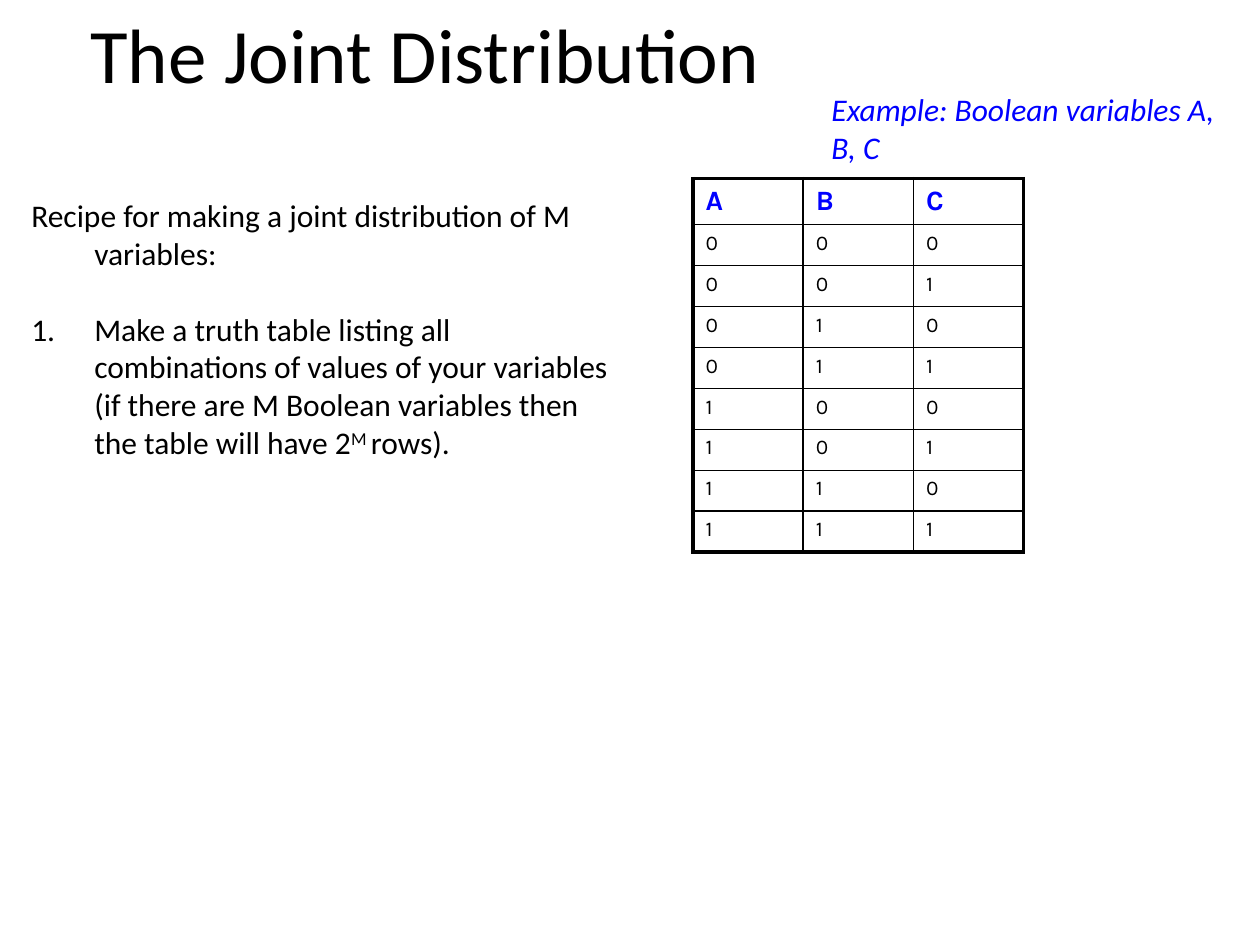
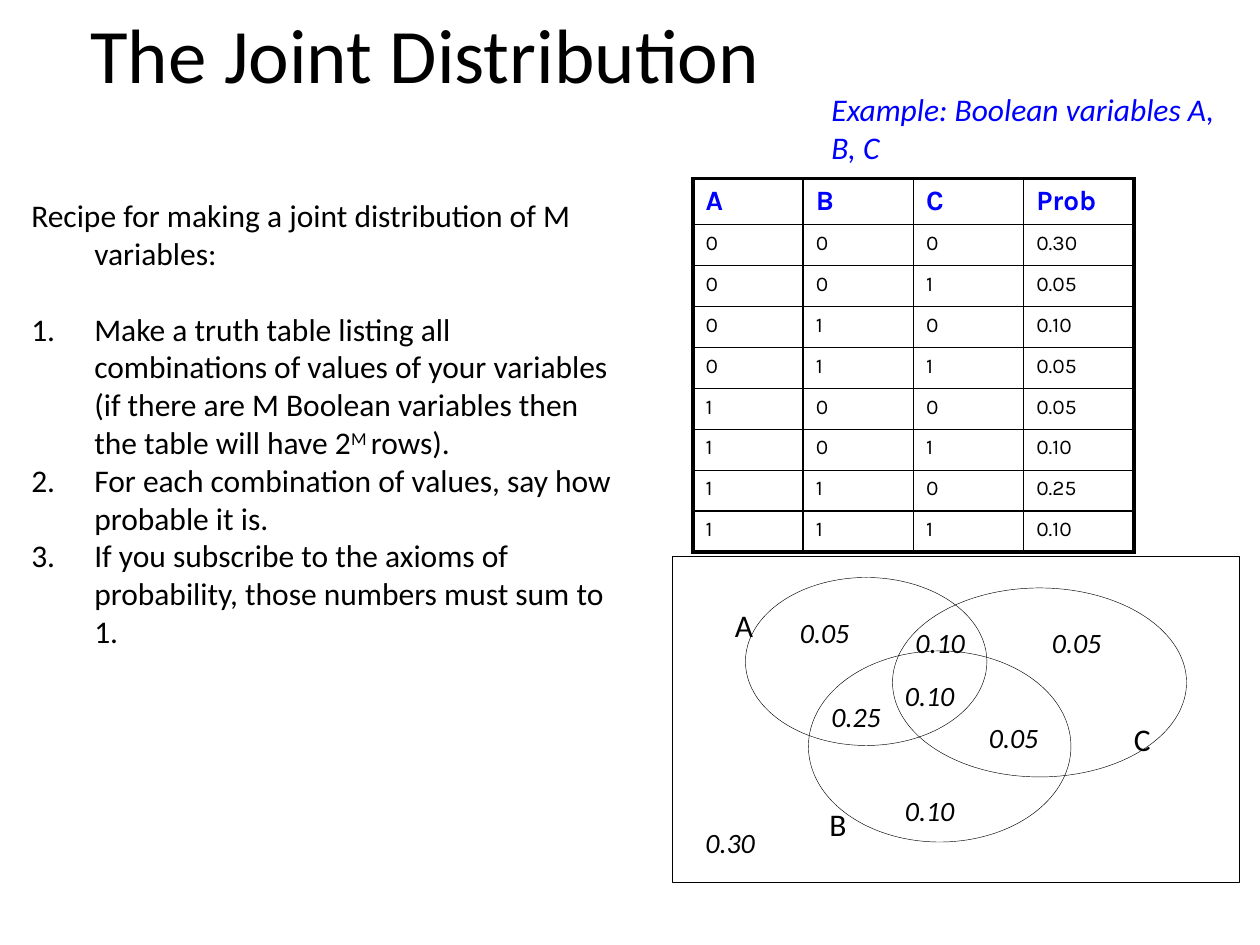
from itertools import product

from lxml import etree
from pptx import Presentation
from pptx.dml.color import RGBColor
from pptx.enum.shapes import MSO_SHAPE
from pptx.enum.text import MSO_ANCHOR, MSO_AUTO_SIZE, PP_ALIGN
from pptx.oxml.ns import qn
from pptx.util import Inches, Pt

RECT, OVAL = MSO_SHAPE.RECTANGLE, MSO_SHAPE.OVAL
LEFT, CENTER = PP_ALIGN.LEFT, PP_ALIGN.CENTER
TOP, MIDDLE = MSO_ANCHOR.TOP, MSO_ANCHOR.MIDDLE
GROW = MSO_AUTO_SIZE.SHAPE_TO_FIT_TEXT

BLACK, BLUE = "000000", "0000FF"
BODY_FONT, TABLE_FONT = "Calibri", "Karla"
COLS, ROWS = 120, 90  # twelve grid units to the inch
THICK, THIN = 2.25, 1

INTRO = "Recipe for making a joint distribution of M variables:"
STEPS = [
    [("Make a truth table listing all combinations of values of your variables "
      "(if there are M Boolean variables then the table will have 2", False),
     ("M ", True), ("rows).", False)],
    [("For each combination of values, say how probable it is.", False)],
    [("If you subscribe to the axioms of probability, those numbers must sum to 1.", False)],
]
VARIABLES = ["A", "B", "C"]
TRUTH_ROWS = [list(bits) for bits in product("01", repeat=len(VARIABLES))]
PROBS = ["0.30", "0.05", "0.10", "0.05", "0.05", "0.10", "0.25", "0.10"]

VENN_FRAME = (64, 53, 54, 31)
VENN_SETS = [(71, 55, 23, 16), (77, 62, 25, 18.2), (85, 56, 28, 18)]
SET_NAMES = [("A", 68.8, 57.1), ("B", 77.8, 76.1), ("C", 106.8, 68)]
REGION_PROBS = [
    ("0.05", 93, 68), ("0.25", 78, 66), ("0.10", 86, 59), ("0.05", 99, 59),
    ("0.05", 75, 58), ("0.10", 85, 64), ("0.10", 85, 75), ("0.30", 66, 78),
]


def color(value):
    return RGBColor.from_string(value)


class Deck:
    def __init__(self):
        self.prs = Presentation()
        self.prs.slide_width, self.prs.slide_height = Inches(10), Inches(7.5)
        self.s = None

    def new_slide(self):
        self.s = self.prs.slides.add_slide(self.prs.slide_layouts[6])

    def grid(self, x, y, w, h):
        """Turn grid columns and rows into slide lengths."""
        col, row = self.prs.slide_width / COLS, self.prs.slide_height / ROWS
        return round(x * col), round(y * row), round(w * col), round(h * row)

    def run(self, p, text, size=18, fill=BLACK, font=BODY_FONT,
            bold=False, italic=False, raised=False):
        r = p.add_run()
        r.text = text
        r.font.size, r.font.name = Pt(size), font
        r.font.bold, r.font.italic = bold, italic
        r.font.color.rgb = color(fill)
        if raised:
            r.font._element.set("baseline", "30000")

    def frame(self, box, wrap=True, anchor=TOP):
        tf = self.s.shapes.add_textbox(*self.grid(*box)).text_frame
        tf.word_wrap, tf.vertical_anchor = wrap, anchor
        return tf

    def text(self, box, text, wrap=True, anchor=TOP, align=LEFT, **style):
        tf = self.frame(box, wrap, anchor)
        if not wrap:
            tf.auto_size = GROW
        p = tf.paragraphs[0]
        p.alignment = align
        self.run(p, text, **style)

    def recipe(self, box, steps):
        tf = self.frame(box)
        for i, runs in enumerate([[(INTRO, False)]] + steps):
            p = tf.add_paragraph() if i else tf.paragraphs[0]
            pPr = p._p.get_or_add_pPr()
            pPr.set("marL", str(Inches(0.5)))
            pPr.set("indent", str(-Inches(0.5)))
            if i:
                etree.SubElement(pPr, qn("a:buAutoNum"), type="arabicPeriod")
            if i == 1:
                p.space_before = Pt(21.6)
            for text, raised in runs:
                self.run(p, text, raised=raised)

    def border(self, cell, widths):
        """Draw the cell's sides; widths are left, right, top, bottom in points."""
        tcPr = cell._tc.get_or_add_tcPr()
        for side, width in zip("LRTB", widths):
            ln = etree.SubElement(tcPr, qn("a:ln" + side), w=str(Pt(width)))
            fill = etree.SubElement(ln, qn("a:solidFill"))
            etree.SubElement(fill, qn("a:srgbClr"), val=BLACK)

    def table(self, x, y, col_width, header, rows):
        data = [header] + rows
        n_rows, n_cols = len(data), len(header)
        box = self.grid(x, y, col_width * n_cols, 35.5)
        table = self.s.shapes.add_table(n_rows, n_cols, *box).table
        table.first_row = table.horz_banding = False
        for column in table.columns:
            column.width = box[2] // n_cols
        for i, values in enumerate(data):
            table.rows[i].height = Inches(0.325 if i else 0.36)
            for j, value in enumerate(values):
                cell = table.cell(i, j)
                outer = (j == 0, j == n_cols - 1, i == 0, i == n_rows - 1)
                self.border(cell, [THICK if edge else THIN for edge in outer])
                cell.fill.background()
                style = {"size": 12} if i else {"size": 16, "fill": BLUE, "bold": True}
                self.run(cell.text_frame.paragraphs[0], value, font=TABLE_FONT, **style)

    def outline(self, kind, box):
        sp = self.s.shapes.add_shape(kind, *self.grid(*box))
        sp.shadow.inherit = False
        sp.fill.background()
        sp.line.color.rgb = color(BLACK)
        sp.line.width = Pt(0.25)

    def joint_slide(self, steps, header, rows):
        """Add a slide with the shared title, recipe, example note and table."""
        self.new_slide()
        self.text((3, 0, 75, 10), "The Joint Distribution",
                  anchor=MIDDLE, align=CENTER, size=44)
        self.recipe((1.8, 18.1, 58.2, 33.2 + 12 * (len(steps) - 1)), steps)
        self.text((78, 8, 40, 9.2), "Example: Boolean variables A, B, C",
                  fill=BLUE, italic=True)
        self.table(66, 17, 10.5, header, rows)

    def venn(self):
        self.outline(RECT, VENN_FRAME)
        for box in VENN_SETS:
            self.outline(OVAL, box)
        for name, x, y in SET_NAMES:
            self.text((x, y, 4.4, 5.2), name, wrap=False)
        for prob, x, y in REGION_PROBS:
            self.text((x, y, 7.6, 4.4), prob, wrap=False, size=16, italic=True)


def main():
    deck = Deck()
    deck.joint_slide(STEPS[:1], VARIABLES, TRUTH_ROWS)
    deck.joint_slide(STEPS, VARIABLES + ["Prob"],
                     [bits + [prob] for bits, prob in zip(TRUTH_ROWS, PROBS)])
    deck.venn()
    deck.prs.save("out.pptx")


if __name__ == "__main__":
    main()
